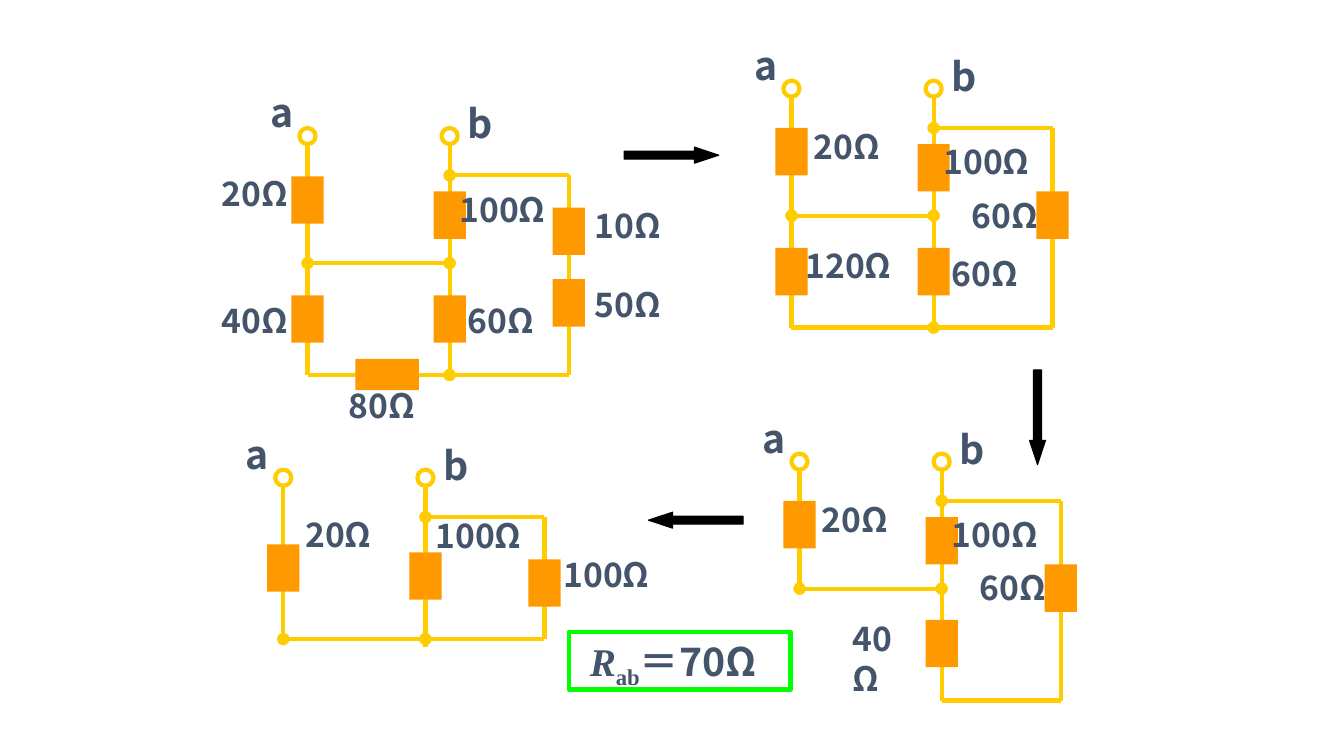
from pptx import Presentation, util as u
from pptx.dml.color import RGBColor
from pptx.enum import shapes, text
from pptx.oxml.ns import qn
from lxml import etree

W, H = 1333, 750
PX = 9144
SANS, SERIF = "Noto Sans CJK SC", "Times New Roman"
YELLOW, ORANGE, SLATE, BLACK, GREEN = "FFCC00", "FF9900", "44546A", "000000", "00FF00"
B, C = 141, 259
TOP, MID, BOTTOM, SHORT = 39, 126, 237, 160
TERMINAL_R = 8

RIGHT_LOOP = [
    (B, TERMINAL_R, B, BOTTOM, ""),
    (B, TOP, C, TOP, "head"),
    (C, TOP, C, BOTTOM, ""),
    (B, BOTTOM, C, BOTTOM, ""),
]
BRIDGE = (0, MID, B, MID, "head tail")
FULL_WIRES = RIGHT_LOOP + [
    (0, TERMINAL_R, 0, BOTTOM, ""),
    BRIDGE,
    (0, BOTTOM, B, BOTTOM, "tail"),
]
UPRIGHT, FLAT = (32, 47), (63, 31)

CIRCUITS = [
    {"origin": (305, 135), "wires": FULL_WIRES,
     "resistors": [(0, 40, UPRIGHT), (0, 158, UPRIGHT), (B, 55, UPRIGHT), (B, 158, UPRIGHT),
                   (C, 71, UPRIGHT), (C, 142, UPRIGHT), (79, 221, FLAT)],
     "labels": [("20Ω", -95, 32, 110), ("40Ω", -95, 158, 110), ("80Ω", 31, 242, 110),
                ("100Ω", 141, 48, 110), ("60Ω", 149, 158, 102),
                ("10Ω", 275, 63, 102), ("50Ω", 275, 142, 110)]},
    {"origin": (785, 88), "wires": FULL_WIRES,
     "resistors": [(0, 39, UPRIGHT), (0, 158, UPRIGHT), (B, 55, UPRIGHT), (B, 158, UPRIGHT),
                   (C, 102, UPRIGHT)],
     "labels": [("20Ω", 12, 32, 110), ("120Ω", 4, 150, 110), ("100Ω", 141, 47, 110),
                ("60Ω", 149, 158, 102), ("60Ω", 169, 100, 110)]},
    {"origin": (793, 458), "wires": RIGHT_LOOP + [(0, TERMINAL_R, 0, MID, ""), BRIDGE],
     "resistors": [(0, 39, UPRIGHT), (B, 55, UPRIGHT), (B, 157, UPRIGHT), (C, 102, UPRIGHT)],
     "labels": [("20Ω", 12, 32, 110), ("100Ω", 141, 47, 110), ("60Ω", 169, 100, 110),
                ("40Ω", 43, 150, 83)]},
    {"origin": (281, 474),
     "wires": [(0, TERMINAL_R, 0, SHORT, ""), (0, SHORT, B, SHORT, "head tail"),
               (B, TOP, C, TOP, "head"), (C, TOP, C, SHORT, ""),
               (B, SHORT, C, SHORT, ""), (B, TERMINAL_R, B, SHORT + 8, "")],
     "resistors": [(0, 66, UPRIGHT), (B, 74, UPRIGHT), (C, 81, UPRIGHT)],
     "labels": [("20Ω", 12, 31, 110), ("100Ω", 141, 32, 110), ("100Ω", 268, 71, 110)]},
]
TERMINALS = [("a", 0, -47, -52), ("b", B, 149, -41)]
ARROWS = [(619, 146, 0), (982, 406, 90), (643, 508, 180)]
RESULT_BOX = (564, 627, 220, 57)
RESULT = [("R", SERIF, True, None), ("ab", SERIF, False, "-25000"),
          ("＝", SERIF, False, None), ("70Ω", SANS, False, None)]

prs = Presentation()
prs.slide_width, prs.slide_height = W * PX, H * PX
s = prs.slides.add_slide(prs.slide_layouts[6])


def rgb(value):
    return RGBColor.from_string(value)


def emu(*lengths):
    return [round(v * PX) for v in lengths]


def add_shape(kind, x, y, w, h, fill=None, line=None, width=3):
    sp = s.shapes.add_shape(kind, *emu(x, y, w, h))
    sp.shadow.inherit = False
    if fill:
        sp.fill.solid()
        sp.fill.fore_color.rgb = rgb(fill)
    else:
        sp.fill.background()
    if line:
        sp.line.color.rgb = rgb(line)
        sp.line.width = u.Pt(width)
    else:
        sp.line.fill.background()
    return sp


def add_wire(x1, y1, x2, y2, dots):
    cx = s.shapes.add_connector(shapes.MSO_CONNECTOR.STRAIGHT, *emu(x1, y1, x2, y2))
    cx.line.color.rgb = rgb(YELLOW)
    cx.line.width = u.Pt(3)
    ln = cx.line._get_or_add_ln()
    for end in dots.split():
        etree.SubElement(ln, qn(f"a:{end}End"), type="oval")
    etree.SubElement(cx._element.spPr, qn("a:effectLst"))


def style(font, size, name=None):
    font.size, font.bold = u.Pt(size), True
    font.color.rgb = rgb(SLATE)
    if name:
        font.name = name


def add_label(label, x, y, w, h, size):
    tf = s.shapes.add_textbox(*emu(x, y, w, h)).text_frame
    tf.word_wrap = True
    p = tf.paragraphs[0]
    p.text = label
    style(p.font, size, SANS)


for circuit in CIRCUITS:
    ox, oy = circuit["origin"]
    for x1, y1, x2, y2, dots in circuit["wires"]:
        add_wire(ox + x1, oy + y1, ox + x2, oy + y2, dots)
    for cx, top, (w, h) in circuit["resistors"]:
        add_shape(shapes.MSO_SHAPE.RECTANGLE, ox + cx - w / 2, oy + top, w, h, ORANGE)
    for name, cx, x, y in TERMINALS:
        add_shape(shapes.MSO_SHAPE.OVAL, ox + cx - TERMINAL_R, oy - TERMINAL_R,
                  2 * TERMINAL_R, 2 * TERMINAL_R, line=YELLOW)
        add_label(name, ox + x, oy + y, 39, 57, 28)
    for label, x, y, w in circuit["labels"]:
        add_label(label, ox + x, oy + y, w, 50, 24)

for x, y, angle in ARROWS:
    arrow = add_shape(shapes.MSO_SHAPE.RIGHT_ARROW, x, y, 94, 16, BLACK, BLACK, 0.75)
    arrow.adjustments[0], arrow.adjustments[1] = 0.5, 1.51
    arrow.rotation = angle

box = add_shape(shapes.MSO_SHAPE.RECTANGLE, *RESULT_BOX, line=GREEN)
tf = box.text_frame
tf.word_wrap = True
tf.vertical_anchor = text.MSO_ANCHOR.TOP
tf.margin_left = 21 * PX
p = tf.paragraphs[0]
p.alignment = text.PP_ALIGN.LEFT
style(p.font, 28)
for content, face, italic, baseline in RESULT:
    r = p.add_run()
    r.text = content
    style(r.font, 28, face)
    r.font.italic = italic
    if baseline:
        r.font._element.set("baseline", baseline)

prs.save("out.pptx")
